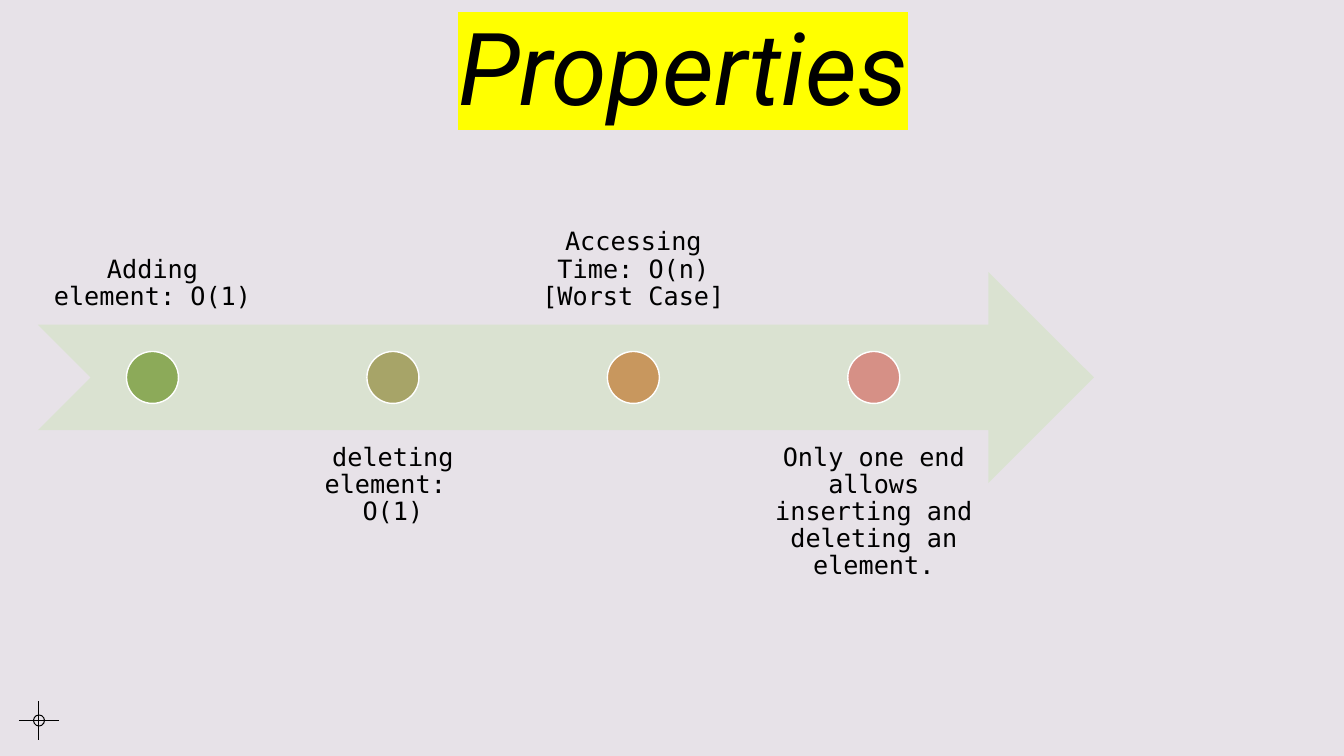
"""Builds the Properties slide with its timeline arrow."""
from lxml.etree import SubElement
from pptx import Presentation
from pptx.dml.color import RGBColor
from pptx.enum.shapes import MSO_CONNECTOR as Connector, MSO_SHAPE as Shape
from pptx.enum.text import MSO_ANCHOR as Anchor, MSO_AUTO_SIZE as AutoSize, PP_ALIGN as Align
from pptx.oxml import parse_xml
from pptx.oxml.ns import nsdecls, qn
from pptx.util import Pt

WIDTH, HEIGHT = 1344, 756
SCALE = 12192000 / WIDTH
COLORS = {
    "back": "E7E2E8", "ink": "000000", "marker": "FFFF00", "arrow": "DAE2D1", "white": "FFFFFF",
    "green": "8CAA59", "olive": "A7A468", "orange": "C8975E", "rose": "D69086",
}
STEPS = [
    ("Adding element: O(1)", "green"),
    ("deleting element:  O(1)", "olive"),
    ("Accessing Time: O(n) [Worst Case]", "orange"),
    ("Only one end allows inserting and deleting an element.", "rose"),
]


def emu(*lengths):
    """Turn px lengths into EMU."""
    return [round(length * SCALE) for length in lengths]


def color(name):
    """Look up a colour by name."""
    return RGBColor.from_string(COLORS[name])


def add_figure(page, kind, box, fill=None, line=None, weight=1):
    """Add a flat preset shape."""
    figure = page.shapes.add_shape(kind, *emu(*box))
    figure.shadow.inherit = False
    if fill:
        figure.fill.solid()
        figure.fill.fore_color.rgb = color(fill)
    else:
        figure.fill.background()
    if line:
        figure.line.color.rgb = color(line)
        figure.line.width = Pt(weight)
    else:
        figure.line.fill.background()
    return figure


def write(holder, text, font, size, anchor, inset, spacing):
    """Fill a text holder with one centred paragraph and return its run."""
    frame = holder.text_frame
    frame.text = text
    frame.word_wrap = True
    frame.auto_size = AutoSize.NONE
    frame.vertical_anchor = anchor
    (margin,) = emu(inset)
    frame.margin_left = frame.margin_right = frame.margin_top = frame.margin_bottom = margin
    para = frame.paragraphs[0]
    para.alignment = Align.CENTER
    para.line_spacing = spacing
    span = para.runs[0]
    span.font.name = font
    span.font.size = Pt(size)
    span.font.color.rgb = color("ink")
    return span


def add_title(page, box):
    """Place the highlighted title."""
    title = page.shapes.title
    title.left, title.top, title.width, title.height = emu(*box)
    span = write(title, "Properties", "Roboto", 72, Anchor.BOTTOM, 5, 1.2)
    span.font.italic = True
    highlight = parse_xml(
        f'<a:highlight {nsdecls("a")}><a:srgbClr val="{COLORS["marker"]}"/></a:highlight>')
    span.font._element.find(qn("a:solidFill")).addnext(highlight)


def add_crosshair(page, box):
    """Draw the corner crosshair."""
    left, top, width, height = box
    middle_x, middle_y = left + width / 2, top + height / 2
    ends = [(left, middle_y, left + width, middle_y), (middle_x, top + height, middle_x, top)]
    for points in ends:
        line = page.shapes.add_connector(Connector.STRAIGHT, *emu(*points))
        line.line.color.rgb = color("ink")
        line.line.width = Pt(0.75)
        SubElement(line._element.spPr, qn("a:effectLst"))
    ring = 11
    ring_box = (middle_x - ring / 2, middle_y - ring / 2, ring, ring)
    add_figure(page, Shape.OVAL, ring_box, line="ink", weight=0.75)


def add_timeline(page, box):
    """Draw the arrow with its dots and the labels alternating above and below."""
    left, top, width, height = box
    add_figure(page, Shape.NOTCHED_RIGHT_ARROW, box, fill="arrow")
    label_width, dot = 229, 52
    for index, (text, fill) in enumerate(STEPS):
        above = index % 2 == 0
        label_left = left + index * label_width * 1.05
        label_top = top + height * (-0.75 if above else 0.75)
        label = page.shapes.add_textbox(*emu(label_left, label_top, label_width, height))
        anchor = Anchor.BOTTOM if above else Anchor.TOP
        write(label, text, "DejaVu Sans Mono", 18, anchor, 14, 0.9)
        dot_box = (label_left + (label_width - dot) / 2, top + (height - dot) / 2, dot, dot)
        add_figure(page, Shape.OVAL, dot_box, fill, "white")


def main():
    """Build and save the deck."""
    deck = Presentation()
    deck.slide_width, deck.slide_height = emu(WIDTH, HEIGHT)
    page = deck.slides.add_slide(deck.slide_layouts[5])
    page.background.fill.solid()
    page.background.fill.fore_color.rgb = color("back")
    add_crosshair(page, (19, 701, 40, 39))
    add_title(page, (38, 22, 1290, 109))
    add_timeline(page, (38, 272, 1056, 211))
    deck.save("out.pptx")


if __name__ == "__main__":
    main()
